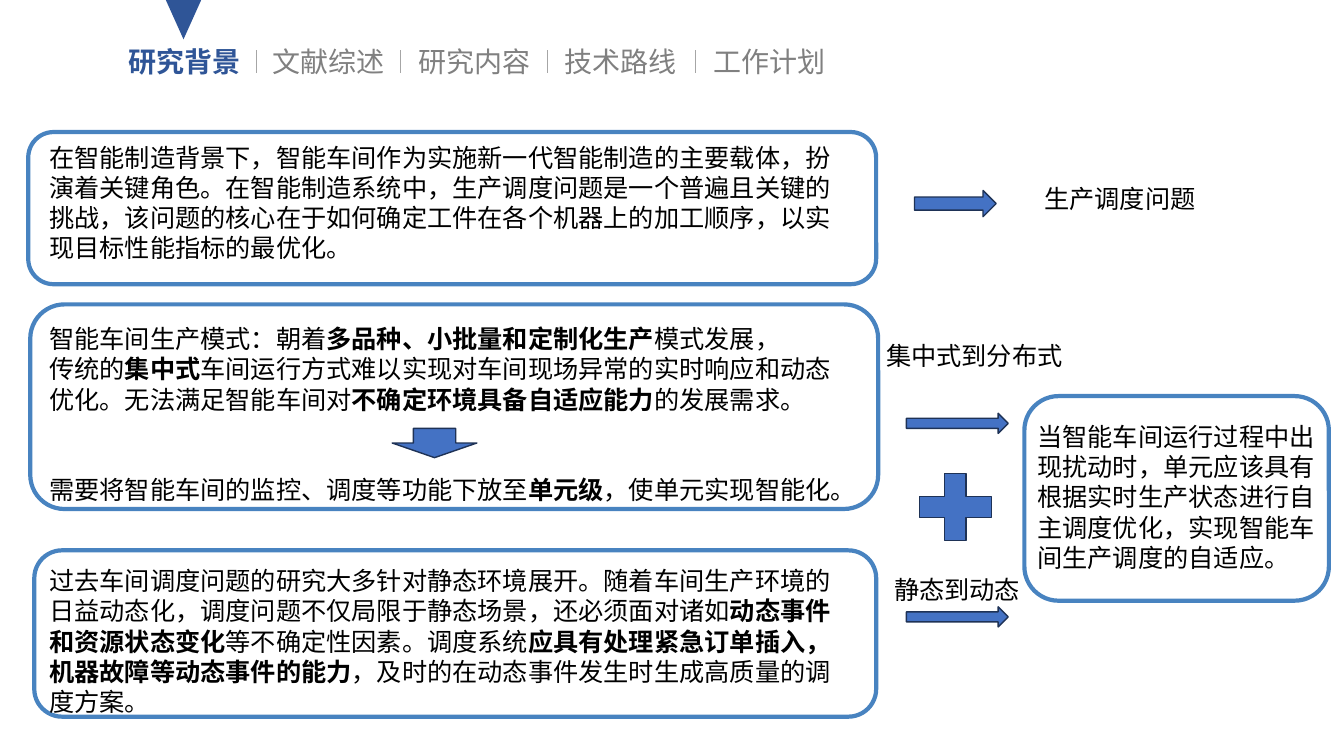
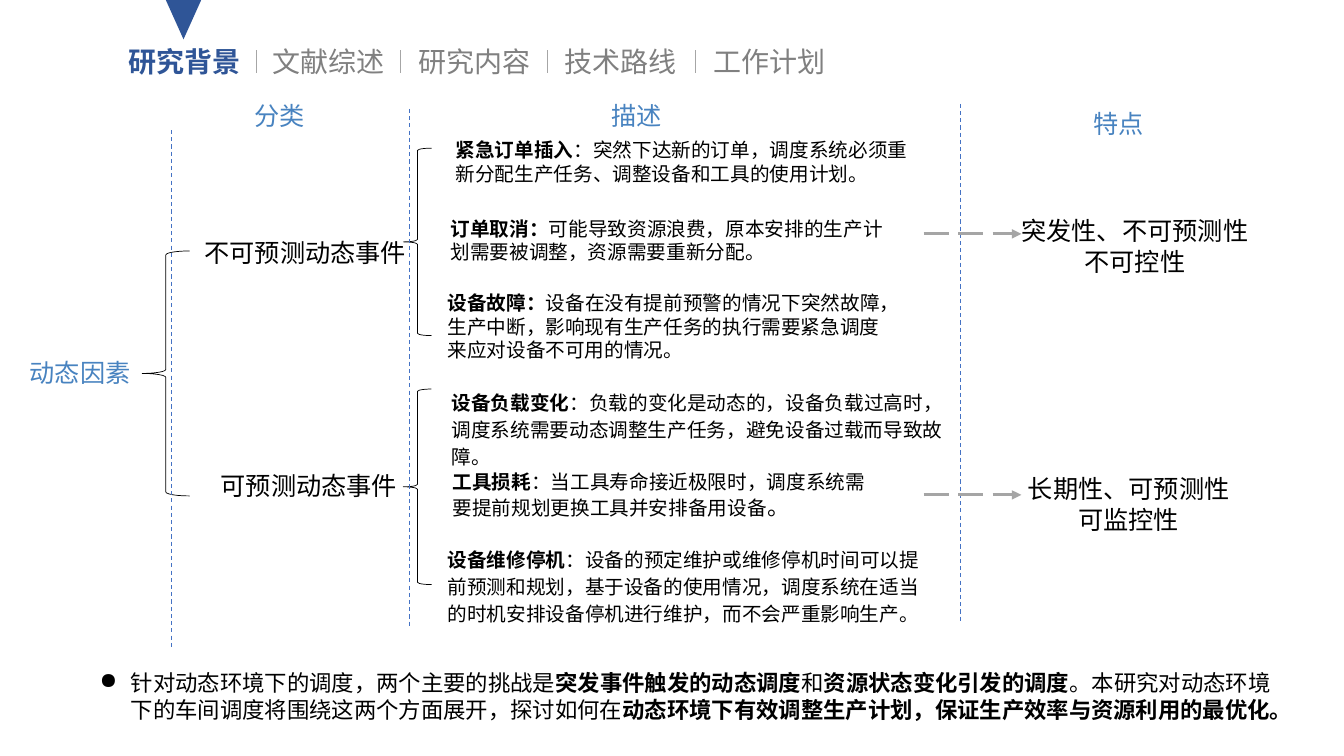
import pptx
import pptx.util
import pptx.dml.color
import pptx.enum.dml
import pptx.enum.shapes
import pptx.enum.text
import pptx.oxml
import pptx.oxml.ns

PX = 9144
FONT = "Noto Sans CJK SC"
RGB = pptx.dml.color.RGBColor
NAVY = RGB(0x2F, 0x55, 0x97)
BLUE = RGB(0x44, 0x72, 0xC4)
EDGE = RGB(0x1E, 0x32, 0x56)
FRAME = RGB(0x48, 0x83, 0xC0)
GRAY = RGB(0x80, 0x80, 0x80)
RULE = RGB(0xA6, 0xA6, 0xA6)
ARROW = RGB(0xA5, 0xA5, 0xA5)
BLACK = RGB(0, 0, 0)
SHAPE = pptx.enum.shapes.MSO_SHAPE
DASH = pptx.enum.dml.MSO_LINE
LEFT = pptx.enum.text.PP_ALIGN.LEFT
CENTER = pptx.enum.text.PP_ALIGN.CENTER


def write(sp, text, size, color=BLACK, align=LEFT, wrap=True, spacing=None):
    tf = sp.text_frame
    frame_format = {
        "word_wrap": wrap,
        "auto_size": pptx.enum.text.MSO_AUTO_SIZE.SHAPE_TO_FIT_TEXT,
        "vertical_anchor": pptx.enum.text.MSO_ANCHOR.TOP,
    }
    for name, value in frame_format.items():
        setattr(tf, name, value)
    for i, line in enumerate(text.split("\n")):
        p = tf.add_paragraph() if i else tf.paragraphs[0]
        p.alignment = align
        if spacing:
            p.line_spacing = spacing
        for j, part in enumerate(line.split("*")):
            if not part:
                continue
            r = p.add_run()
            r.text = part
            font_format = {"size": pptx.util.Pt(size), "name": FONT, "bold": j % 2 == 1}
            for name, value in font_format.items():
                setattr(r.font, name, value)
            r.font.color.rgb = color
            ea = pptx.oxml.parse_xml(f'<a:ea {pptx.oxml.ns.nsdecls("a")} typeface="{FONT}"/>')
            r.font._element.find(pptx.oxml.ns.qn("a:latin")).addnext(ea)
    return tf


def rule(s, x1, y1, x2, y2, color, width, dash=None, arrow=False):
    line = s.shapes.add_connector(
        pptx.enum.shapes.MSO_CONNECTOR.STRAIGHT, x1 * PX, y1 * PX, x2 * PX, y2 * PX)
    line.line.color.rgb = color
    line.line.width = pptx.util.Pt(width)
    if dash:
        line.line.dash_style = dash
    if arrow:
        tail = pptx.oxml.parse_xml(f'<a:tailEnd {pptx.oxml.ns.nsdecls("a")} type="triangle"/>')
        line.line._get_or_add_ln().append(tail)
    effects = pptx.oxml.parse_xml(f'<a:effectLst {pptx.oxml.ns.nsdecls("a")}/>')
    line._element.spPr.append(effects)


prs = pptx.Presentation()
prs.slide_width = 1333 * PX
prs.slide_height = 750 * PX

tabs = [("文献综述", 260, 152), ("研究内容", 405, 137), ("技术路线", 550, 170), ("工作计划", 698, 170)]
slides = []
for _ in range(2):
    s = prs.slides.add_slide(prs.slide_layouts[5])
    slides.append(s)
    title = s.shapes.title
    for name, value in {"left": 117, "top": 39, "width": 137, "height": 44}.items():
        setattr(title, name, value * PX)
    write(title, "*研究背景*", 20, NAVY)
    for text, x, w in tabs:
        write(s.shapes.add_textbox(x * PX, 39 * PX, w * PX, 44 * PX), text, 20, GRAY)
    for x in (254, 397, 543, 690):
        rule(s, x, 50, x, 72, RULE, 0.5)
    marker = s.shapes.add_shape(SHAPE.ISOSCELES_TRIANGLE, 164 * PX, -1 * PX, 36 * PX, 40 * PX)
    marker.rotation = 180
    marker.shadow.inherit = False
    marker.fill.solid()
    marker.fill.fore_color.rgb = NAVY
    marker.line.fill.background()

background, factors = slides

shapes = [
    (background, SHAPE.ROUNDED_RECTANGLE, None, FRAME, 3, [
        (28, 131, 841, 151), (30, 302, 841, 203), (34, 546, 835, 165), (1016, 393, 302, 203)]),
    (background, SHAPE.RIGHT_ARROW, BLUE, EDGE, 1, [
        (907, 189, 81, 26), (899, 410, 101, 20), (899, 602, 101, 20)]),
    (background, SHAPE.DOWN_ARROW, BLUE, EDGE, 1, [(389, 425, 84, 29)]),
    (background, SHAPE.MATH_PLUS, BLUE, EDGE, 1, [(899, 458, 97, 90)]),
    (factors, SHAPE.LEFT_BRACE, None, BLACK, 0.5, [
        (141, 249, 47, 243), (400, 147, 28, 186), (400, 386, 28, 194)]),
]
for s, kind, fill, color, width, boxes in shapes:
    for box in boxes:
        sp = s.shapes.add_shape(kind, *[v * PX for v in box])
        sp.shadow.inherit = False
        if fill:
            sp.fill.solid()
            sp.fill.fore_color.rgb = fill
        else:
            sp.fill.background()
        sp.line.color.rgb = color
        sp.line.width = pptx.util.Pt(width)

passages = [
    ((39, 136, 814, 130),
     "在智能制造背景下，智能车间作为实施新一代智能制造的主要载体，扮演着关键角色。在智能制造系统中，"
     "生产调度问题是一个普遍且关键的挑战，该问题的核心在于如何确定工件在各个机器上的加工顺序，"
     "以实现目标性能指标的最优化。"),
    ((39, 316, 814, 100),
     "智能车间生产模式：朝着*多品种、小批量和定制化生产*模式发展，\n"
     "传统的*集中式*车间运行方式难以实现对车间现场异常的实时响应和动态优化。"
     "无法满足智能车间对*不确定环境具备自适应能力*的发展需求。"),
    ((39, 466, 814, 40),
     "需要将智能车间的监控、调度等功能下放至*单元级*，使单元实现智能化。"),
    ((39, 556, 814, 160),
     "过去车间调度问题的研究大多针对静态环境展开。随着车间生产环境的日益动态化，"
     "调度问题不仅局限于静态场景，还必须面对诸如*动态事件和资源状态变化*等不确定性因素。"
     "调度系统*应具有处理紧急订单插入，机器故障等动态事件的能力*，"
     "及时的在动态事件发生时生成高质量的调度方案。"),
    ((1019, 413, 302, 160),
     "当智能车间运行过程中出现扰动时，单元应该具有根据实时生产状态进行自主调度优化，"
     "实现智能车间生产调度的自适应。"),
    ((869, 333, 283, 40), "集中式到分布式"),
    ((877, 565, 283, 40), "静态到动态"),
    ((1026, 177, 172, 40), "生产调度问题"),
]
for box, text in passages:
    write(background.shapes.add_textbox(*[v * PX for v in box]), text, 18)

labels = [
    ("分类", (242, 95, 71, 40), FRAME, CENTER, False),
    ("动态因素", (19, 350, 121, 40), FRAME, CENTER, False),
    ("描述", (596, 95, 71, 40), FRAME, CENTER, False),
    ("特点", (1074, 103, 71, 40), FRAME, CENTER, False),
    ("不可预测动态事件", (193, 231, 222, 40), BLACK, LEFT, False),
    ("可预测动态事件", (209, 462, 197, 40), BLACK, LEFT, False),
    ("突发性、不可预测性\n不可控性", (985, 209, 281, 71), BLACK, CENTER, True),
    ("长期性、可预测性可监控性", (1003, 465, 233, 71), BLACK, CENTER, True),
]
for text, box, color, align, wrap in labels:
    write(factors.shapes.add_textbox(*[v * PX for v in box]), text, 18, color, align, wrap)

events = [
    ((442, 132, 480, 57), None,
     "*紧急订单插入*：突然下达新的订单，调度系统必须重新分配生产任务、调整设备和工具的使用计划。"),
    ((437, 210, 456, 57), None,
     "*订单取消：*可能导致资源浪费，原本安排的生产计划需要被调整，资源需要重新分配。"),
    ((434, 284, 450, 81), None,
     "*设备故障：*设备在没有提前预警的情况下突然故障，生产中断，"
     "影响现有生产任务的执行需要紧急调度来应对设备不可用的情况。"),
    ((438, 379, 519, 90), 1.15,
     "*设备负载变化*：负载的变化是动态的，设备负载过高时，"
     "调度系统需要动态调整生产任务，避免设备过载而导致故障。"),
    ((434, 535, 499, 90), 1.15,
     "*设备维修停机*：设备的预定维护或维修停机时间可以提前预测和规划，基于设备的使用情况，"
     "调度系统在适当的时机安排设备停机进行维护，而不会严重影响生产。"),
    ((439, 461, 435, 61), None,
     "*工具损耗*：当工具寿命接近极限时，调度系统需要提前规划更换工具并安排备用设备**。"),
]
for box, spacing, text in events:
    tf = write(factors.shapes.add_textbox(*[v * PX for v in box]), text, 14, spacing=spacing)
tf.paragraphs[0].runs[-1].font.size = pptx.util.Pt(16)

for x, top, bottom in ((170, 129, 642), (406, 108, 622), (953, 103, 616)):
    rule(factors, x, top, x, bottom, BLUE, 0.75, DASH.DASH)
for y in (232, 491):
    rule(factors, 916, y, 1013, y, ARROW, 2.25, DASH.LONG_DASH, arrow=True)

sp = factors.shapes.add_textbox(89 * PX, 659 * PX, 1202 * PX, 64 * PX)
tf = write(
    sp,
    "针对动态环境下的调度，两个主要的挑战是*突发事件触发的动态调度*和*资源状态变化引发的调度*。"
    "本研究对动态环境下的车间调度将围绕这两个方面展开，"
    "探讨如何在*动态环境下有效调整生产计划，保证生产效率与资源利用的最优化。*", 16)
pPr = tf.paragraphs[0]._p.get_or_add_pPr()
pPr.set("marL", str(31 * PX))
pPr.set("indent", str(-31 * PX))
pPr.append(pptx.oxml.parse_xml(f'<a:buChar {pptx.oxml.ns.nsdecls("a")} char="●"/>'))

prs.save("out.pptx")
